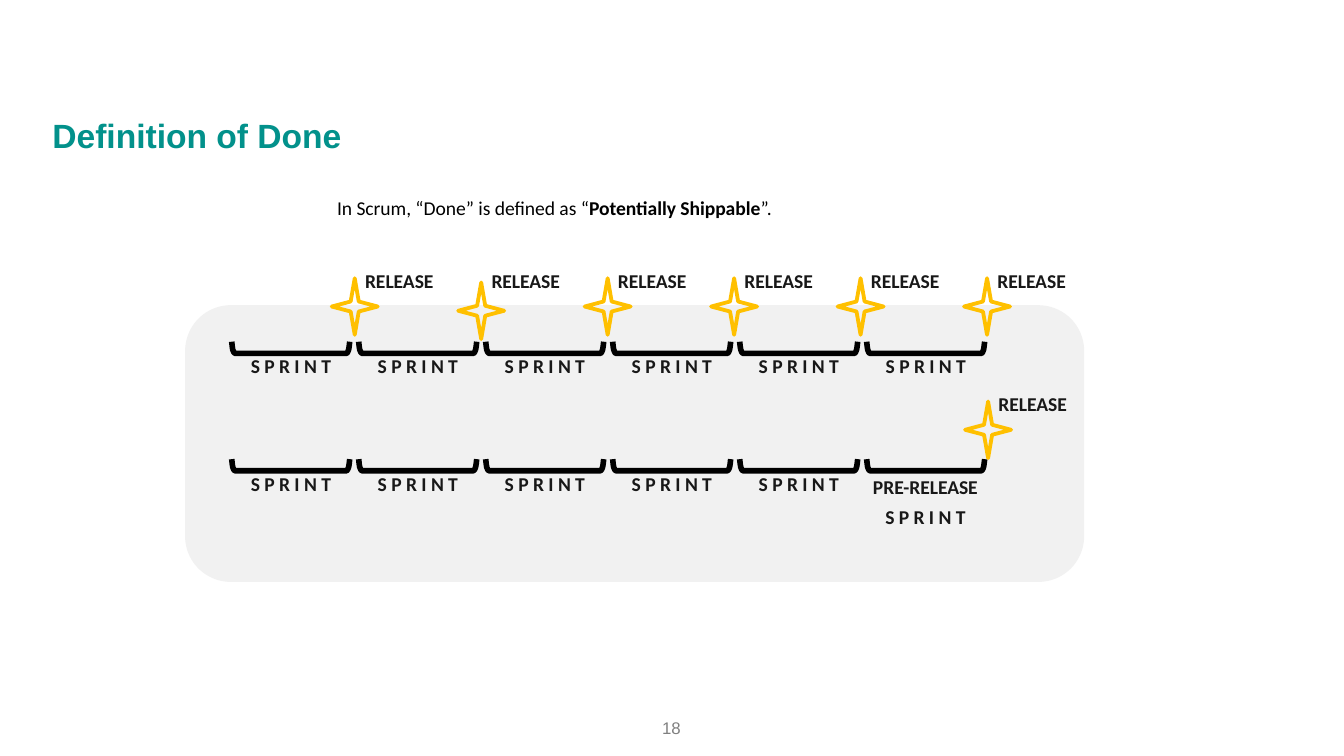
from dataclasses import dataclass

from pptx import Presentation
from pptx.dml.color import RGBColor
from pptx.enum import shapes, text
from pptx.util import Cm, Pt


@dataclass(frozen=True)
class Theme:
    heading_font: str = "Arial"
    body_font: str = "Calibri"
    heading: str = "02918B"
    intro: str = "000000"
    label: str = "181818"
    panel: str = "F1F1F1"
    bracket: str = "000000"
    star: str = "FFC000"
    page: str = "808080"
    heading_size: float = 18
    body_size: float = 10.5
    page_size: float = 9
    bracket_weight: float = 3
    star_weight: float = 2.04


@dataclass(frozen=True)
class Box:
    """A rectangle in centimetres."""
    left: float
    top: float
    width: float
    height: float

    def emu(self) -> tuple:
        return Cm(self.left), Cm(self.top), Cm(self.width), Cm(self.height)


@dataclass(frozen=True)
class Timeline:
    """A row of sprints, of which the first `labelled` carry a plain label."""
    top: float
    labelled: int


@dataclass(frozen=True)
class Release:
    left: float
    top: float
    star_drop: float = 0


THEME = Theme()
SPRINTS = 6
SPRINT_LEFT, SPRINT_PITCH, SPRINT_WIDTH = 4.38, 2.4, 2.23
RELEASE_LEFT, RELEASE_PITCH = 6.27, 2.39
BRACKET_CORNER = [(0, 0), (0.01, 0.09), (0.02, 0.15), (0.04, 0.2), (0.06, 0.22)]

TIMELINES = [Timeline(8.68, SPRINTS - 1), Timeline(6.46, SPRINTS)]
RELEASES = [
    Release(RELEASE_LEFT + i * RELEASE_PITCH, 5.26, 0.08 if i == 1 else 0)
    for i in range(SPRINTS)
] + [Release(18.24, 7.59)]


def write(paragraph, words: str, *, size: float = THEME.body_size,
          color: str = THEME.label, font: str = THEME.body_font,
          bold: bool = True, align=text.PP_ALIGN.LEFT, leading=None) -> None:
    """Append a formatted run to the paragraph."""
    paragraph.alignment = align
    if leading:
        paragraph.line_spacing = Pt(leading)
    run = paragraph.add_run()
    run.text = words
    run.font.name = font
    run.font.size = Pt(size)
    run.font.bold = bold
    run.font.color.rgb = RGBColor.from_string(color)


def set_frame(frame, inset: float) -> None:
    frame.word_wrap = True
    frame.auto_size = text.MSO_AUTO_SIZE.NONE
    frame.vertical_anchor = text.MSO_ANCHOR.TOP
    frame.margin_left = frame.margin_right = Cm(inset)
    frame.margin_top = frame.margin_bottom = Cm(inset)


def add_text_box(slide, box: Box, inset: float = 0):
    frame = slide.shapes.add_textbox(*box.emu()).text_frame
    set_frame(frame, inset)
    return frame


def outline(shape, color: str, weight: float) -> None:
    shape.shadow.inherit = False
    shape.fill.background()
    shape.line.color.rgb = RGBColor.from_string(color)
    shape.line.width = Pt(weight)


def add_title(slide) -> None:
    title = slide.shapes.title
    title.left, title.top, title.width, title.height = Box(0.74, 1.93, 16.74, 0.76).emu()
    set_frame(title.text_frame, 0.25)
    write(title.text_frame.paragraphs[0], "Definition of Done", size=THEME.heading_size,
          color=THEME.heading, font=THEME.heading_font)


def add_intro(slide) -> None:
    sentence = add_text_box(slide, Box(6.37, 3.71, 10.77, 0.46)).paragraphs[0]
    for words, bold in [("In Scrum, “Done” is defined as “", False),
                        ("Potentially Shippable", True), ("”.", False)]:
        write(sentence, words, color=THEME.intro, bold=bold)


def add_panel(slide) -> None:
    panel = slide.shapes.add_shape(shapes.MSO_SHAPE.ROUNDED_RECTANGLE,
                                   *Box(3.5, 5.77, 16.99, 5.23).emu())
    panel.adjustments[0] = 0.165
    panel.shadow.inherit = False
    panel.fill.solid()
    panel.fill.fore_color.rgb = RGBColor.from_string(THEME.panel)
    panel.line.fill.background()


def add_bracket(slide, left: float, top: float) -> None:
    right = left + SPRINT_WIDTH
    corners = [(right - x, top + y) for x, y in BRACKET_CORNER]
    corners += [(left + x, top + y) for x, y in reversed(BRACKET_CORNER)]
    points = [(Cm(x), Cm(y)) for x, y in corners]
    builder = slide.shapes.build_freeform(*points[0])
    builder.add_line_segments(points[1:], close=False)
    outline(builder.convert_to_shape(), THEME.bracket, THEME.bracket_weight)


def add_timeline(slide, timeline: Timeline) -> None:
    for i in range(SPRINTS):
        left = SPRINT_LEFT + i * SPRINT_PITCH
        add_bracket(slide, left, timeline.top)
        if i < timeline.labelled:
            label = add_text_box(slide, Box(left + 0.36, timeline.top + 0.24, 1.65, 0.89))
            write(label.paragraphs[0], "S P R I N T")


def add_pre_release_label(slide) -> None:
    label = add_text_box(slide, Box(16.46, 8.86, 2.06, 1.7))
    for line, words in enumerate(["PRE-RELEASE", "S P R I N T"]):
        paragraph = label.add_paragraph() if line else label.paragraphs[0]
        write(paragraph, words, align=text.PP_ALIGN.CENTER, leading=16)


def add_release(slide, release: Release) -> None:
    label = add_text_box(slide, Box(release.left + 0.63, release.top - 0.18, 1.4, 0.89))
    write(label.paragraphs[0], "RELEASE")
    star = slide.shapes.add_shape(
        shapes.MSO_SHAPE.STAR_4_POINT,
        *Box(release.left, release.top + release.star_drop, 0.87, 1.07).emu())
    star.adjustments[0] = 0.125
    outline(star, THEME.star, THEME.star_weight)


def add_page_number(slide) -> None:
    number = add_text_box(slide, Box(12.07, 13.44, 1.24, 0.64), inset=0.13)
    write(number.paragraphs[0], "18", size=THEME.page_size, color=THEME.page,
          font=THEME.heading_font, bold=False, align=text.PP_ALIGN.CENTER)


def main() -> None:
    deck = Presentation()
    deck.slide_width, deck.slide_height = Cm(25.4), Cm(14.29)
    slide = deck.slides.add_slide(deck.slide_layouts.get_by_name("Title Only"))
    add_page_number(slide)
    add_title(slide)
    add_intro(slide)
    add_panel(slide)
    add_pre_release_label(slide)
    for timeline in TIMELINES:
        add_timeline(slide, timeline)
    for release in RELEASES:
        add_release(slide, release)
    deck.save("out.pptx")


if __name__ == "__main__":
    main()
